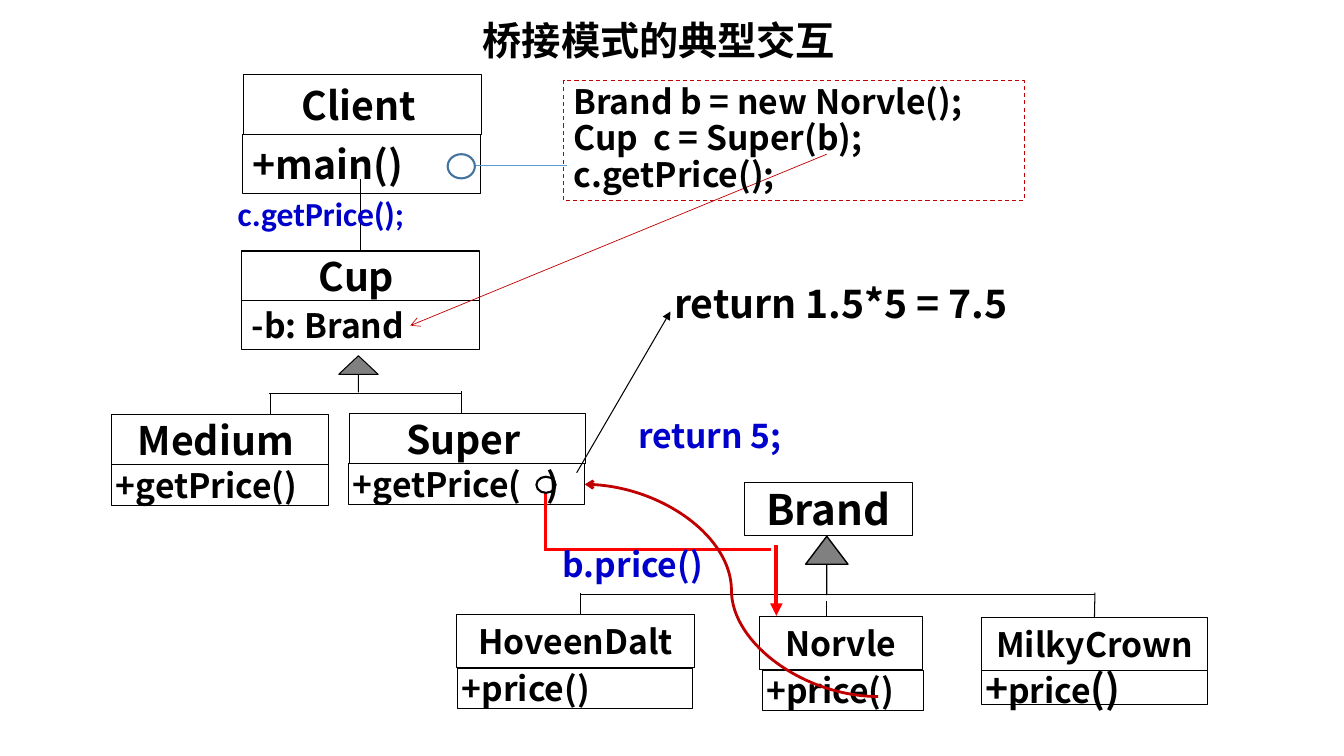
"""Build a slide showing the typical interaction of the bridge pattern."""
from lxml import etree
from pptx import Presentation
from pptx import util as u
from pptx.dml.color import RGBColor
from pptx.enum import dml, shapes, text
from pptx.oxml.ns import qn

HUES = {"ink": "000000", "paper": "FFFFFF", "blue": "0000CC", "red": "FF0000",
        "wine": "C00000", "gray": "808080", "steel": "43739E", "sky": "5B9BD5"}
HUES = {name: RGBColor.from_string(code) for name, code in HUES.items()}
SANS = "Noto Sans CJK SC"
KIND = shapes.MSO_SHAPE
LINE = shapes.MSO_CONNECTOR

deck = Presentation()
deck.slide_width, deck.slide_height = u.Inches(13.33), u.Inches(7.5)
slide = deck.slides.add_slide(deck.slide_layouts[6])
parts = slide.shapes


def write(shape, words, size, hue="ink", font=SANS, pad=(0.1, 0.05), mid=False):
    frame = shape.text_frame
    frame.text = words
    frame.word_wrap = True
    frame.margin_left = u.Inches(pad[0])
    frame.margin_right = u.Inches(pad[0] if mid else 0)
    frame.margin_top = frame.margin_bottom = u.Inches(pad[1])
    for para in frame.paragraphs:
        para.alignment = text.PP_ALIGN.CENTER if mid else text.PP_ALIGN.LEFT
        for run in para.runs:
            run.font.size, run.font.bold = u.Pt(size), True
            run.font.name, run.font.color.rgb = font, HUES[hue]
            east = etree.SubElement(run.font._element, qn("a:ea"))
            east.set("typeface", font)
    return frame


def link(start, end, hue="ink", width=0.75, head=None, kind=LINE.STRAIGHT):
    wire = parts.add_connector(kind, *[u.Inches(n) for n in start + end])
    wire.line.color.rgb, wire.line.width = HUES[hue], u.Pt(width)
    etree.SubElement(wire._element.spPr, qn("a:effectLst"))
    if head:
        tip = etree.SubElement(wire.line._get_or_add_ln(), qn("a:tailEnd"))
        tip.set("type", head)
    return wire


WIDE, SLIM, FLAT = (0.1, 0.05), (0.05, 0.03), (0.04, 0)
boxes = {}
for name, words, place, size, pad, mid in [
    ("main", "+main()", (2.41, 1.33, 2.36, 0.59), 28, WIDE, False),
    ("client", "Client ", (2.42, 0.74, 2.36, 0.59), 28, WIDE, True),
    ("cup", "Cup ", (2.4, 2.49, 2.36, 0.49), 28, WIDE, True),
    ("field", "-b: Brand", (2.4, 2.98, 2.36, 0.49), 24, WIDE, False),
    ("super", "Super ", (3.47, 4.1, 2.34, 0.5), 28, WIDE, True),
    ("superget", "+getPrice(\t)", (3.46, 4.6, 2.34, 0.41), 24, FLAT, False),
    ("medium", "Medium ", (1.11, 4.11, 2.15, 0.5), 28, WIDE, True),
    ("mediumget", "+getPrice()", (1.11, 4.61, 2.15, 0.41), 24, FLAT, False),
    ("brand", "Brand", (7.38, 4.79, 1.67, 0.52), 30, SLIM, True),
    ("left", "HoveenDalt", (4.53, 6.1, 2.36, 0.52), 24, SLIM, True),
    ("leftprice", "+price()", (4.54, 6.63, 2.33, 0.4), 24, FLAT, False),
    ("midprice", "+price()", (7.56, 6.65, 1.6, 0.4), 24, FLAT, False),
    ("middle", "Norvle", (7.53, 6.12, 1.62, 0.52), 24, SLIM, True),
    ("right", "MilkyCrown", (9.73, 6.13, 2.25, 0.52), 24, SLIM, True),
    ("rightprice", "+", (9.73, 6.65, 2.25, 0.34), 28, FLAT, False),
]:
    box = parts.add_shape(KIND.RECTANGLE, *[u.Inches(n) for n in place])
    box.shadow.inherit = False
    box.fill.solid()
    box.fill.fore_color.rgb = HUES["paper"]
    box.line.color.rgb, box.line.width = HUES["ink"], u.Pt(0.75)
    write(box, words, size, pad=pad, mid=mid)
    box.text_frame.vertical_anchor = text.MSO_ANCHOR.MIDDLE
    boxes[name] = box

para = boxes["rightprice"].text_frame.paragraphs[0]
for words, size in [("price", 24), ("()", 28)]:
    run = para.add_run()
    run.text = words
    run.font.size, run.font.bold = u.Pt(size), True
    run.font.name, run.font.color.rgb = SANS, HUES["ink"]

para = boxes["superget"].text_frame.paragraphs[0]
tabs = etree.SubElement(para._p.get_or_add_pPr(), qn("a:tabLst"))
stop = etree.SubElement(tabs, qn("a:tab"))
stop.set("pos", str(u.Inches(1.92)))
stop.set("algn", "l")

for place, ratio, width in [((3.36, 3.53, 0.39, 0.36), 0.51, 0.75),
                            ((7.99, 5.32, 0.42, 0.58), 0.66, 1)]:
    arrow = parts.add_shape(KIND.UP_ARROW, *[u.Inches(n) for n in place])
    arrow.shadow.inherit = False
    arrow.adjustments[0], arrow.adjustments[1] = 0, ratio
    arrow.fill.solid()
    arrow.fill.fore_color.rgb = HUES["gray"]
    arrow.line.color.rgb, arrow.line.width = HUES["ink"], u.Pt(width)

link((3.58, 1.78), (3.58, 2.49)).end_connect(boxes["cup"], 0)
for start, end in [((2.67, 3.9), (4.58, 3.9)), ((4.58, 3.88), (4.58, 4.1)),
                   ((2.68, 3.9), (2.68, 4.11)), ((5.76, 5.9), (10.86, 5.9)),
                   ((5.76, 5.88), (5.76, 6.1)), ((8.2, 5.96), (8.2, 6.12))]:
    link(start, end)
link((10.86, 5.88), (10.86, 6.13)).end_connect(boxes["right"], 0)

link((7.7, 5.41), (7.7, 6.11), "red", 3, "triangle")
link((5.41, 4.89), (5.41, 5.47), "red", 2.5)
link((5.41, 5.45), (7.65, 5.45), "red", 2.5)
link((5.72, 4.69), (6.65, 3.09), head="triangle")
link((8.2, 1.53), (4.07, 3.23), "wine", 0.5, "arrow")
curve = link((8.71, 6.91), (5.8, 4.8), "wine", 2, "arrow", LINE.CURVE)
curve.end_connect(boxes["superget"], 3)

for place, hue in [((5.32, 4.73, 0.19, 0.16), "ink"),
                   ((4.44, 1.53, 0.27, 0.24), "steel")]:
    ring = parts.add_shape(KIND.OVAL, *[u.Inches(n) for n in place])
    ring.shadow.inherit = False
    ring.fill.background()
    ring.line.color.rgb, ring.line.width = HUES[hue], u.Pt(1.5)
link((4.72, 1.64), (5.62, 1.64), "sky", 0.5)

for words, place, size, hue, font, pad in [
    ("桥接模式的典型交互", (4.69, 0.11, 3.94, 0.57), 28, "ink", SANS, WIDE),
    ("c.getPrice();", (2.26, 1.86, 1.87, 0.5), 24, "blue", "Calibri", WIDE),
    ("b.price()", (5.58, 5.4, 1.73, 0.4), 24, "blue", SANS, (0, 0)),
    ("return 5;", (6.23, 4.07, 1.97, 0.5), 24, "blue", SANS, WIDE),
    ("return 1.5*5 = 7.5", (6.59, 2.72, 3.72, 0.57), 28, "ink", SANS, WIDE),
]:
    label = parts.add_textbox(*[u.Inches(n) for n in place])
    write(label, words, size, hue, font, pad)

code = parts.add_shape(KIND.RECTANGLE, *[u.Inches(n) for n in (5.59, 0.8, 4.57, 1.19)])
code.shadow.inherit = False
code.fill.background()
code.line.color.rgb, code.line.width = HUES["wine"], u.Pt(0.75)
code.line.dash_style = dml.MSO_LINE.DASH
frame = write(code, "Brand b = new Norvle();\nCup  c = Super(b);\nc.getPrice();", 24)
frame.vertical_anchor = text.MSO_ANCHOR.TOP
for para in frame.paragraphs:
    para.line_spacing = 0.9

deck.save("out.pptx")
